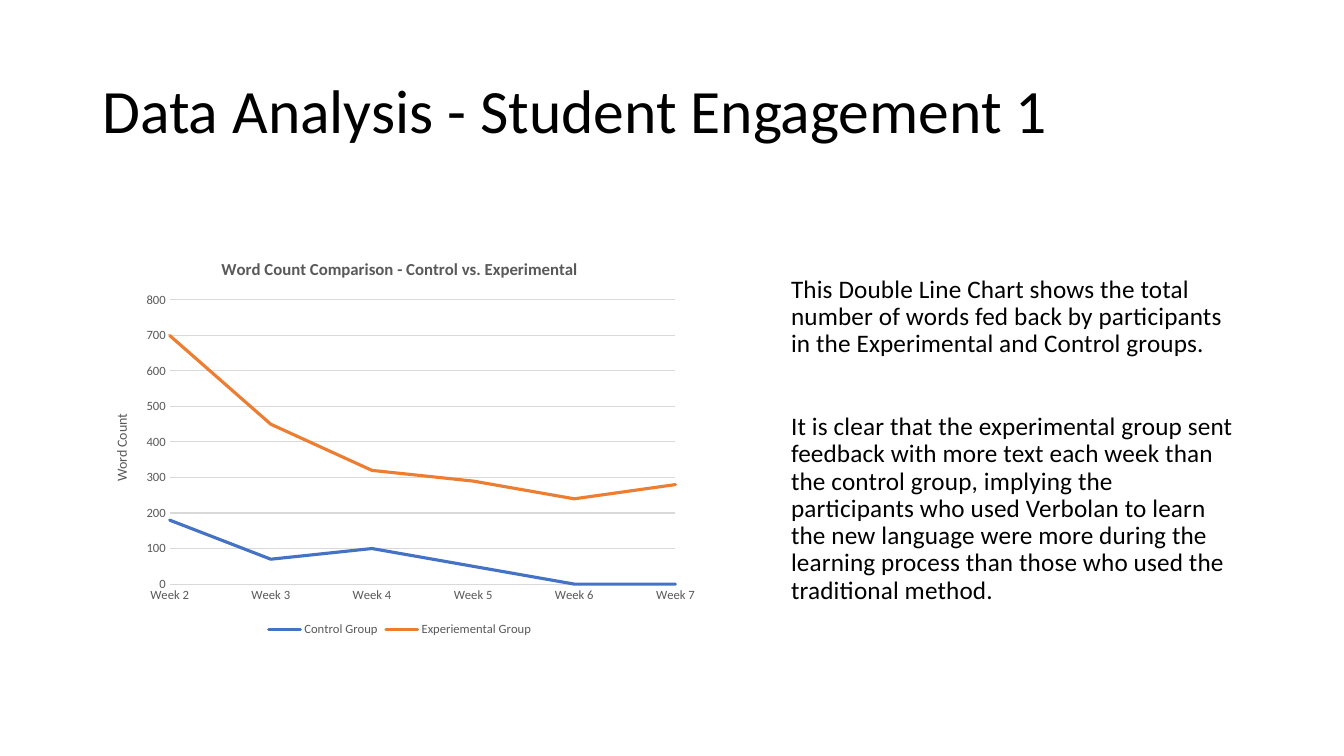
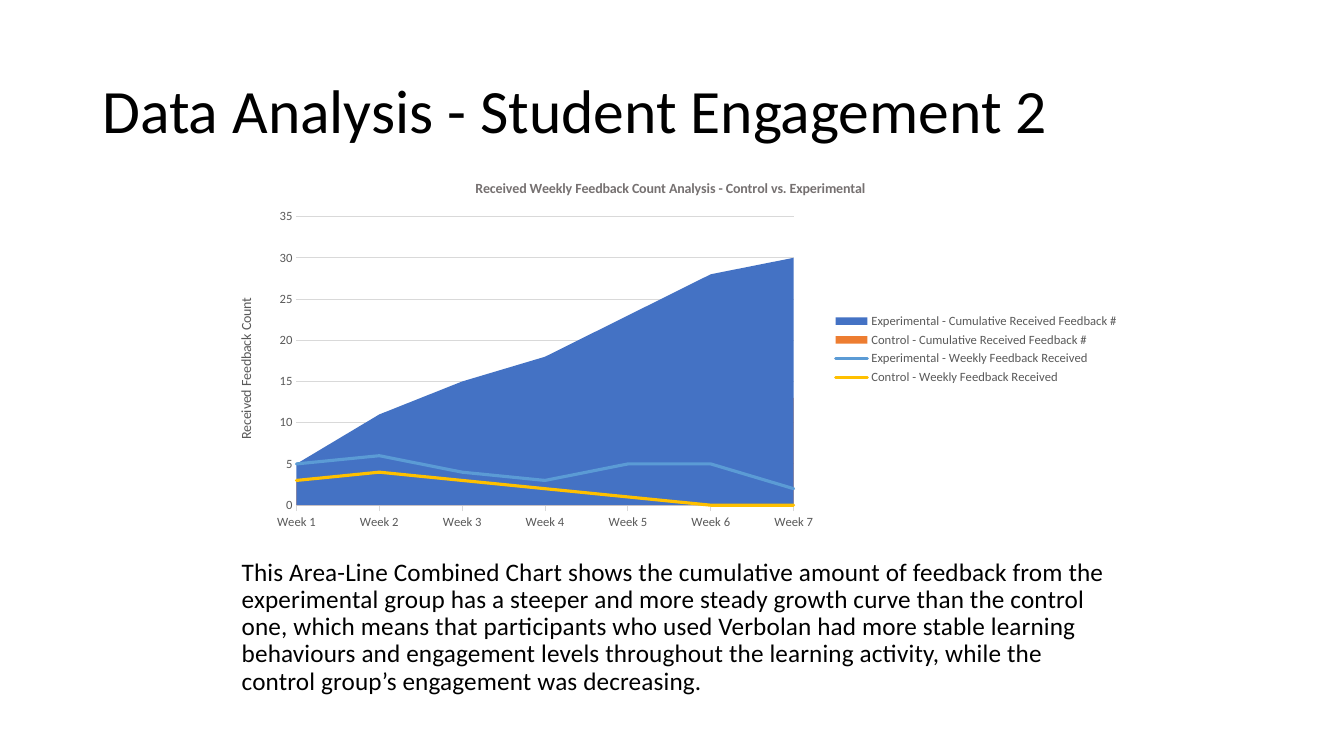
from dataclasses import dataclass
from typing import NamedTuple

from pptx import Presentation
from pptx.chart.chart import Chart
from pptx.chart.data import CategoryChartData
from pptx.dml.color import RGBColor
from pptx.enum.chart import XL_CHART_TYPE, XL_LEGEND_POSITION, XL_MARKER_STYLE, XL_TICK_MARK
from pptx.enum.text import MSO_ANCHOR
from pptx.oxml import parse_xml
from pptx.oxml.ns import nsdecls
from pptx.slide import Slide
from pptx.text.text import Font
from pptx.util import Pt

FONT = "Calibri"
COLORS = {
    "black": "000000",
    "gray": "595959",
    "warm": "767171",
    "rule": "D9D9D9",
    "blue": "4472C4",
    "orange": "ED7D31",
    "sky": "5B9BD5",
    "gold": "FFC000",
}


class Box(NamedTuple):
    """Left, top, width and height in points."""

    left: float
    top: float
    width: float
    height: float


class Para(NamedTuple):
    """A paragraph and the space above it."""

    text: str
    above: float = 10


class Row(NamedTuple):
    """One data series."""

    name: str
    color: str
    vals: tuple[int, ...]


@dataclass
class Graph:
    """A chart whose parts are placed in points from its corner."""

    box: Box
    kind: XL_CHART_TYPE
    title: str
    size: float
    color: str
    axis: str
    weeks: range
    rows: list[Row]
    legend: XL_LEGEND_POSITION
    tick: XL_TICK_MARK
    plot: tuple[float, ...]
    head: tuple[float, ...]
    side: tuple[float, ...]
    areas: int = 0


@dataclass
class Page:
    """The content of one slide."""

    title: str
    box: Box
    paras: list[Para]
    graph: Graph


TITLE = Box(66, 28.8, 828, 104.4)
PAGES = [
    Page(
        "Data Analysis - Student Engagement 1",
        Box(558, 193.8, 336.2, 242.6),
        [
            Para("This Double Line Chart shows the total number of words fed back by "
                 "participants in the Experimental and Control groups."),
            Para("It is clear that the experimental group sent feedback with more text "
                 "each week than the control group, implying the participants who used "
                 "Verbolan to learn the new language were more during the learning "
                 "process than those who used the traditional method.", 40),
        ],
        Graph(
            Box(66, 172.1, 439.2, 285.8),
            XL_CHART_TYPE.LINE_STACKED,
            "Word Count Comparison - Control vs. Experimental", 12, "gray",
            "Word Count",
            range(2, 8),
            [
                Row("Control Group", "blue", (180, 70, 100, 50, 0, 0)),
                Row("Experiemental Group", "orange", (520, 380, 220, 240, 240, 280)),
            ],
            XL_LEGEND_POSITION.BOTTOM,
            XL_TICK_MARK.NONE,
            (55.2, 42.2, 361.3, 203), (90, 10), (12.6, 121.8),
        ),
    ),
    Page(
        "Data Analysis - Student Engagement 2",
        Box(165.6, 396, 640.8, 115.2),
        [
            Para("This Area-Line Combined Chart shows the cumulative amount of feedback "
                 "from the experimental group has a steeper and more steady growth curve "
                 "than the control one, which means that participants who used Verbolan "
                 "had more stable learning behaviours and engagement levels throughout "
                 "the learning activity, while the control group’s engagement was "
                 "decreasing."),
        ],
        Graph(
            Box(153.4, 115.9, 653, 267.1),
            XL_CHART_TYPE.AREA,
            "Received Weekly Feedback Count Analysis - Control vs. Experimental", 10, "warm",
            "Received Feedback Count",
            range(1, 8),
            [
                Row("Experimental - Cumulative Received Feedback #", "blue",
                    (5, 11, 15, 18, 23, 28, 30)),
                Row("Control - Cumulative Received Feedback #", "orange",
                    (3, 7, 10, 12, 13, 13, 13)),
                Row("Experimental - Weekly Feedback Received", "sky", (5, 6, 4, 3, 5, 5, 2)),
                Row("Control - Weekly Feedback Received", "gold", (3, 4, 3, 2, 1, 0, 0)),
            ],
            XL_LEGEND_POSITION.RIGHT,
            XL_TICK_MARK.OUTSIDE,
            (58.3, 38.8, 355.2, 206.2), (184.4, 10.5), (13.9, 94.8),
            areas=2,
        ),
    ),
]


def tint(name: str) -> RGBColor:
    """Look up a named colour."""
    return RGBColor.from_string(COLORS[name])


def style(font: Font, size: float, color: str, bold: bool = False) -> None:
    """Set the face, size, colour and weight of a font."""
    font.name = FONT
    font.size = Pt(size)
    font.bold = bold
    font.color.rgb = tint(color)


def write(slide: Slide, box: Box, paras: list[Para], size: float,
          anchor: MSO_ANCHOR = MSO_ANCHOR.TOP, gap: int = 0) -> None:
    """Add a wrapped text box."""
    frame = slide.shapes.add_textbox(*map(Pt, box)).text_frame
    frame.word_wrap = True
    frame.vertical_anchor = anchor
    for spot, item in enumerate(paras):
        para = frame.add_paragraph() if spot else frame.paragraphs[0]
        para.line_spacing = 0.9
        para.space_before = Pt(item.above)
        run = para.add_run()
        run.text = item.text
        style(run.font, size, "black")
        if gap:
            run._r.get_or_add_rPr().set("spc", str(gap))


def place(node, spot: int, box: Box, nums: tuple[float, ...]) -> None:
    """Fix a part at points from the corner of its chart."""
    for old in node.xpath("c:layout"):
        node.remove(old)
    inner = '<c:layoutTarget val="inner"/>' if len(nums) == 4 else ""
    modes = "".join(f'<c:{key}Mode val="edge"/>' for key in "xy")
    sizes = "".join(f'<c:{key} val="{num / full:.4f}"/>'
                    for key, num, full in zip("xywh", nums, box[2:] * 2))
    node.insert(spot, parse_xml(
        f'<c:layout {nsdecls("c")}><c:manualLayout>{inner}{modes}{sizes}'
        "</c:manualLayout></c:layout>"))


def label(title, text: str, size: float, color: str, bold: bool) -> None:
    """Write a chart or axis title."""
    run = title.text_frame.paragraphs[0].add_run()
    run.text = text
    style(run.font, size, color, bold)


def split(chart: Chart, count: int) -> None:
    """Turn the series after the first few areas into lines."""
    area = chart.element.xpath("//c:areaChart")[0]
    line = parse_xml(
        f'<c:lineChart {nsdecls("c")}><c:grouping val="standard"/>'
        '<c:varyColors val="0"/><c:marker val="1"/></c:lineChart>')
    mark = line[-1]
    for node in area.xpath("c:ser")[count:]:
        mark.addprevious(node)
    for node in area.xpath("c:axId"):
        line.append(parse_xml(f'<c:axId {nsdecls("c")} val="{node.get("val")}"/>'))
    area.addnext(line)


def trim(chart: Chart, graph: Graph) -> None:
    """Style both axes and their grid."""
    cat, val = chart.category_axis, chart.value_axis
    for axis in (cat, val):
        style(axis.tick_labels.font, 9, "gray")
        axis.minor_tick_mark = XL_TICK_MARK.NONE
    cat.major_tick_mark = graph.tick
    val.major_tick_mark = XL_TICK_MARK.NONE
    val.has_major_gridlines = True
    for form in (cat.format, val.major_gridlines.format):
        form.line.color.rgb = tint("rule")
        form.line.width = Pt(0.75)
    val.format.line.fill.background()
    label(val.axis_title, graph.axis, 10, "gray", False)
    place(val.axis_title.element, 1, graph.box, graph.side)
    val.axis_title.text_frame._txBody.bodyPr.set("rot", "-5400000")
    for node in chart.element.xpath("//c:crossBetween"):
        node.getparent().remove(node)
    last = chart.element.xpath("//c:valAx/c:crosses | //c:valAx/c:crossAx")[-1]
    last.addnext(parse_xml(f'<c:crossBetween {nsdecls("c")} val="midCat"/>'))


def draw(slide: Slide, graph: Graph) -> None:
    """Add a line chart or an area and line chart."""
    data = CategoryChartData()
    data.categories = [f"Week {num}" for num in graph.weeks]
    for row in graph.rows:
        data.add_series(row.name, row.vals)
    chart = slide.shapes.add_chart(graph.kind, *map(Pt, graph.box), data).chart
    style(chart.font, 10, "black")
    chart.has_title = True
    label(chart.chart_title, graph.title, graph.size, graph.color, True)
    place(chart.chart_title.element, 1, graph.box, graph.head)
    chart.has_legend = True
    chart.legend.position = graph.legend
    chart.legend.include_in_layout = False
    style(chart.legend.font, 9, "gray")
    if graph.areas:
        split(chart, graph.areas)
    for plot in chart.plots:
        plot.vary_by_categories = False
    bands = [band for plot in chart.plots for band in plot.series]
    for spot, (band, row) in enumerate(zip(bands, graph.rows)):
        if spot < graph.areas:
            band.format.fill.solid()
            band.format.fill.fore_color.rgb = tint(row.color)
            band.format.line.fill.background()
        else:
            band.format.line.color.rgb = tint(row.color)
            band.format.line.width = Pt(2.25)
            band.format.line._get_or_add_ln().set("cap", "rnd")
            band.marker.style = XL_MARKER_STYLE.NONE
            band.smooth = False
    trim(chart, graph)
    place(chart.element.xpath("//c:plotArea")[0], 0, graph.box, graph.plot)


def main() -> None:
    """Build and save the deck."""
    deck = Presentation()
    deck.slide_width, deck.slide_height = Pt(960), Pt(540)
    for page in PAGES:
        slide = deck.slides.add_slide(deck.slide_layouts[6])
        write(slide, TITLE, [Para(page.title, 0)], 44, MSO_ANCHOR.MIDDLE)
        write(slide, page.box, page.paras, 18, gap=10)
        draw(slide, page.graph)
    deck.save("out.pptx")


if __name__ == "__main__":
    main()
